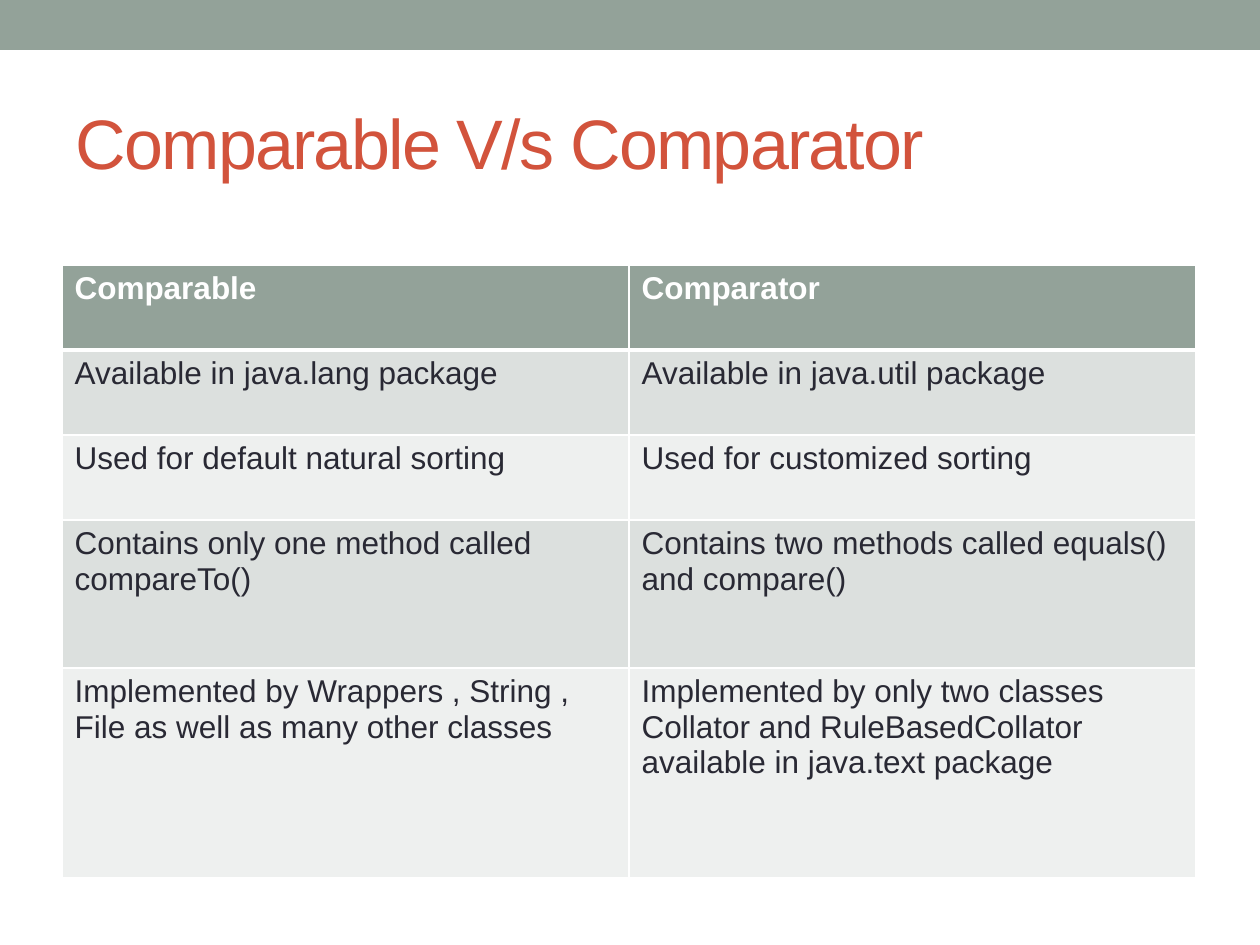
from dataclasses import dataclass

import lxml.etree
import pptx
import pptx.dml.color
import pptx.enum.shapes
import pptx.enum.text
import pptx.oxml.ns
import pptx.util

EMU_PER_PX = 914400 / 126


@dataclass(frozen=True)
class Theme:
    font: str = "Arial"
    sage: str = "93A299"
    title: str = "D2533C"
    text: str = "292934"
    white: str = "FFFFFF"
    bands: tuple = ("DCE0DE", "EEF0EF")
    title_size: int = 40
    table_size: int = 18
    rule: int = 1
    header_rule: int = 3


THEME = Theme()
ROWS = (
    ("Comparable", "Comparator"),
    ("Available in java.lang package", "Available in java.util package"),
    ("Used for default natural sorting", "Used for customized sorting"),
    ("Contains only one method called compareTo()",
     "Contains two methods called equals() and compare()"),
    ("Implemented by Wrappers , String , File as well as many other classes",
     "Implemented by only two classes Collator and RuleBasedCollator available in java.text package"),
)
ROW_HEIGHTS = (85, 85, 85, 148, 210)


def px(length):
    return pptx.util.Emu(round(length * EMU_PER_PX))


def rgb(color):
    return pptx.dml.color.RGBColor.from_string(color)


def style_font(font, size, color, bold=False):
    font.name = THEME.font
    font.size = pptx.util.Pt(size)
    font.color.rgb = rgb(color)
    font.bold = bold


def add_banner(page, box):
    banner = page.shapes.add_shape(
        pptx.enum.shapes.MSO_SHAPE.RECTANGLE, *map(px, box))
    banner.shadow.inherit = False
    banner.fill.solid()
    banner.fill.fore_color.rgb = rgb(THEME.sage)
    banner.line.fill.background()


def place_title(page, box, text):
    title = page.shapes.title
    title.left, title.top, title.width, title.height = map(px, box)
    frame = title.text_frame
    frame.text = text
    frame.vertical_anchor = pptx.enum.text.MSO_ANCHOR.MIDDLE
    para = frame.paragraphs[0]
    para.alignment = pptx.enum.text.PP_ALIGN.LEFT
    span = para.runs[0]
    style_font(span.font, THEME.title_size, THEME.title)
    span.font._element.set("spc", "-100")


def set_borders(cell, widths):
    properties = cell._tc.get_or_add_tcPr()
    for position, (side, width) in enumerate(widths.items()):
        line = lxml.etree.Element(
            pptx.oxml.ns.qn(f"a:ln{side}"), w=str(pptx.util.Pt(width)))
        fill = lxml.etree.SubElement(line, pptx.oxml.ns.qn("a:solidFill"))
        lxml.etree.SubElement(
            fill, pptx.oxml.ns.qn("a:srgbClr"), val=THEME.white)
        properties.insert(position, line)


def style_cell(cell, row_index):
    is_header = row_index == 0
    cell.fill.solid()
    cell.fill.fore_color.rgb = rgb(
        THEME.sage if is_header else THEME.bands[(row_index - 1) % 2])
    span = cell.text_frame.paragraphs[0].runs[0]
    style_font(span.font, THEME.table_size,
               THEME.white if is_header else THEME.text, is_header)
    set_borders(cell, {
        "L": THEME.rule,
        "R": THEME.rule,
        "T": THEME.header_rule if row_index == 1 else THEME.rule,
        "B": THEME.header_rule if is_header else THEME.rule,
    })


def add_comparison(page, box):
    table = page.shapes.add_table(len(ROWS), len(ROWS[0]), *map(px, box)).table
    for column in table.columns:
        column.width = px(box[2] / len(ROWS[0]))
    for row_index, (texts, height) in enumerate(zip(ROWS, ROW_HEIGHTS)):
        table.rows[row_index].height = px(height)
        for column_index, text in enumerate(texts):
            cell = table.cell(row_index, column_index)
            cell.text_frame.text = text
            style_cell(cell, row_index)


def main():
    deck = pptx.Presentation()
    deck.slide_width, deck.slide_height = px(1260), px(945)
    page = deck.slides.add_slide(deck.slide_layouts.get_by_name("Title Only"))
    add_banner(page, (0, 0, 1260, 50))
    place_title(page, (63, 73, 1134, 136), "Comparable V/s Comparator")
    add_comparison(page, (62, 265, 1134, sum(ROW_HEIGHTS)))
    deck.save("out.pptx")


if __name__ == "__main__":
    main()
